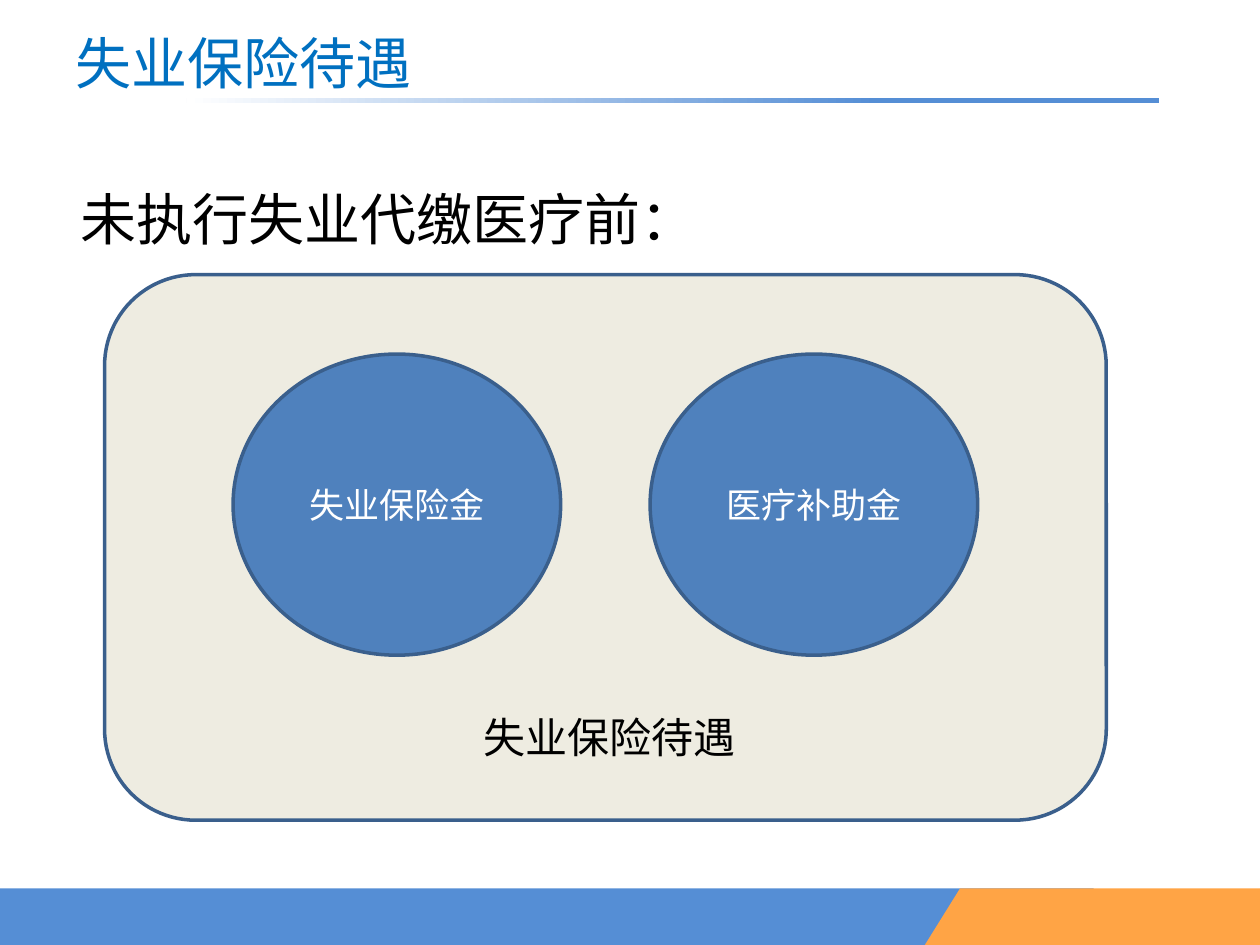
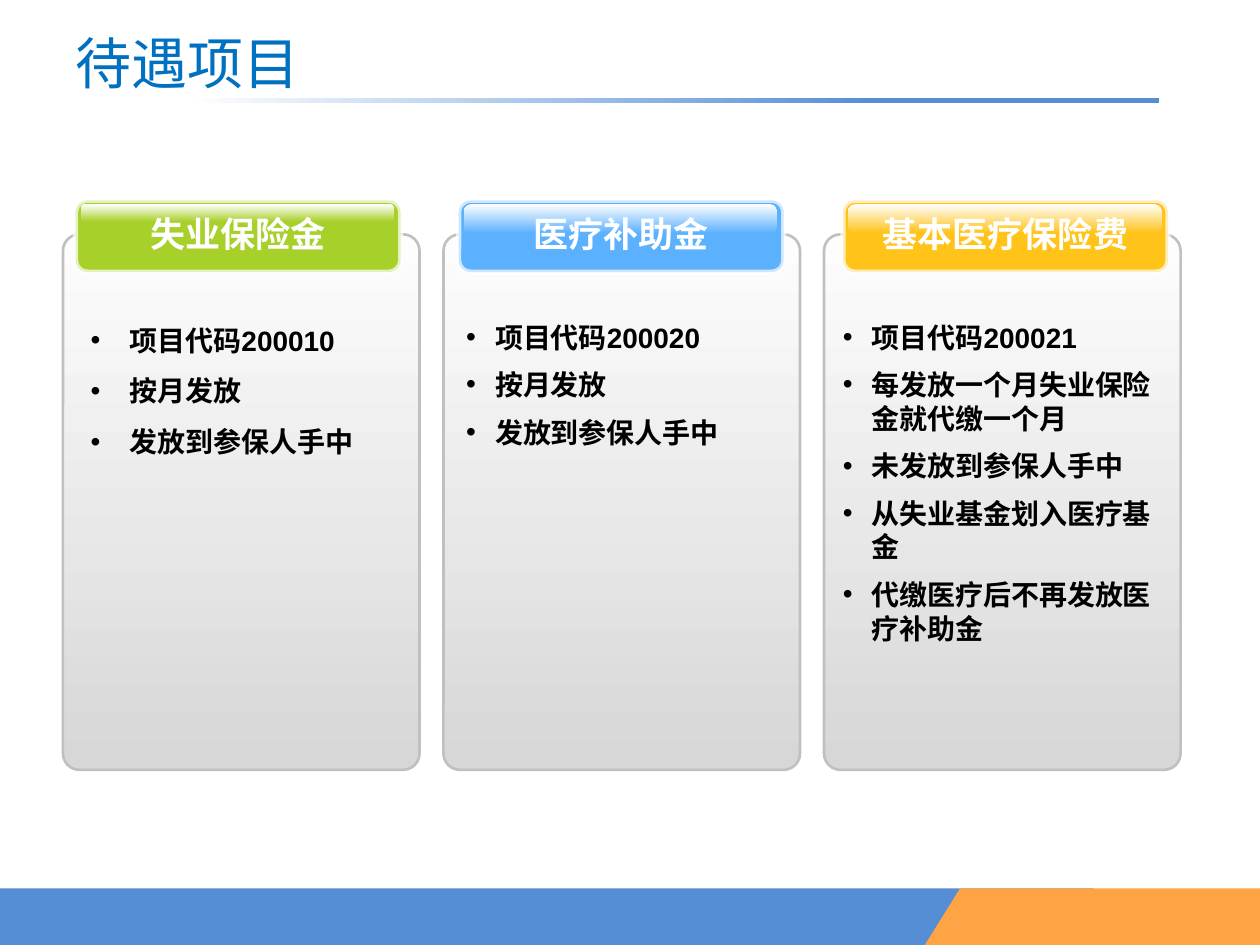
"""Build two slides about unemployment insurance benefits."""
import pptx
import pptx.dml.color
import pptx.enum.shapes
import pptx.enum.text
import pptx.oxml
import pptx.oxml.ns
import pptx.util

Inches = pptx.util.Inches
Pt = pptx.util.Pt
SHAPE = pptx.enum.shapes.MSO_SHAPE
ALIGN = pptx.enum.text.PP_ALIGN
ANCHOR = pptx.enum.text.MSO_ANCHOR

CJK_FONT = "Noto Sans CJK SC"
BAND_BLUE, BAND_ORANGE, TITLE_BLUE = "558ED5", "FFA445", "0070C0"
OUTLINE, CIRCLE_BLUE, CREAM = "3A5F8C", "4F81BD", "EEECE1"
BLACK, WHITE = "000000", "FFFFFF"
PANEL_TOP_COLOR, PANEL_BOTTOM_COLOR, PANEL_LINE = "FDFDFD", "D7D7D7", "C0C0C0"

PANEL_LEFT, PANEL_STEP = 0.5, 3.02
BENEFITS = [
    dict(name="失业保险金", color="A8D02A", tab_offset=0.1, gloss_height=0.14,
         list_box=(0.62, 2.49, 2.47, 1.25), indent=0.31, line_spacing=Pt(21),
         items=["项目代码200010", "按月发放", "发放到参保人手中"]),
    dict(name="医疗补助金", color="5CB1FE", tab_offset=0.12, gloss_height=0.23,
         list_box=(3.6, 2.49, 2.74, 1.18), indent=0.23, line_spacing=1.0,
         items=["项目代码200020", "按月发放", "发放到参保人手中"]),
    dict(name="基本医疗保险费", color="FFC319", tab_offset=0.15, gloss_height=0.23,
         list_box=(6.59, 2.49, 2.74, 3.2), indent=0.23, line_spacing=1.0,
         items=["项目代码200021", "每发放一个月失业保险金就代缴一个月", "未发放到参保人手中",
                "从失业基金划入医疗基金", "代缴医疗后不再发放医疗补助金"]),
]


def rgb(color):
    """Turn a hex string into a colour."""
    return pptx.dml.color.RGBColor.from_string(color)


def place(shape, box):
    """Move a shape to a box given in inches."""
    shape.left, shape.top, shape.width, shape.height = map(Inches, box)


def paint(shape, fill, line=None, line_width=0):
    """Give a shape a plain fill and an optional outline."""
    shape.shadow.inherit = False
    shape.fill.solid()
    shape.fill.fore_color.rgb = rgb(fill)
    if line:
        shape.line.color.rgb = rgb(line)
        shape.line.width = Pt(line_width)
    else:
        shape.line.fill.background()


def shade(shape, stops, angle):
    """Fill a shape with a two-colour linear gradient."""
    shape.fill.gradient()
    shape.fill.gradient_angle = angle
    for stop, (position, color) in zip(shape.fill.gradient_stops, stops):
        stop.position = position
        stop.color.rgb = rgb(color)


def add_block(slide, kind, box, fill, line=None, line_width=0, corner=None):
    """Add a preset shape with a plain fill."""
    block = slide.shapes.add_shape(kind, *map(Inches, box))
    paint(block, fill, line, line_width)
    if corner is not None:
        block.adjustments[0] = corner
    return block


def add_run(paragraph, text, size, color, font="Arial", bold=False):
    """Add one formatted run."""
    run = paragraph.add_run()
    run.text = text
    run.font.size = Pt(size)
    run.font.name = font
    run.font.bold = bold
    run.font.color.rgb = rgb(color)
    east_asian = pptx.oxml.parse_xml(
        f'<a:ea {pptx.oxml.ns.nsdecls("a")} typeface="{CJK_FONT}"/>')
    run.font._element.find(pptx.oxml.ns.qn("a:latin")).addnext(east_asian)


def add_label(slide, box, text, size, color, align=ALIGN.LEFT, bold=False, spacing=1.0):
    """Add a one-line text box."""
    frame = slide.shapes.add_textbox(*map(Inches, box)).text_frame
    frame.word_wrap = True
    paragraph = frame.paragraphs[0]
    paragraph.alignment = align
    paragraph.line_spacing = spacing
    add_run(paragraph, text, size, color, bold=bold)


def add_bullet(paragraph, indent):
    """Give a paragraph a hanging bullet."""
    properties = paragraph._p.get_or_add_pPr()
    properties.set("marL", str(Inches(indent)))
    properties.set("indent", str(-Inches(indent)))
    namespace = pptx.oxml.ns.nsdecls("a")
    for bullet in (f'<a:buFont {namespace} typeface="Arial"/>',
                   f'<a:buChar {namespace} char="•"/>'):
        properties.append(pptx.oxml.parse_xml(bullet))


def set_title(slide, text):
    """Fill and style the title placeholder."""
    title = slide.shapes.title
    place(title, (0.5, 0.13, 9, 0.72))
    title.text_frame.vertical_anchor = ANCHOR.MIDDLE
    paragraph = title.text_frame.paragraphs[0]
    paragraph.alignment = ALIGN.LEFT
    add_run(paragraph, text, 32, TITLE_BLUE, CJK_FONT)


def fill_list(slide, body, benefit):
    """Fill a body placeholder with bullets and bring it to the front."""
    place(body, benefit["list_box"])
    slide.shapes.element.append(body.element)
    frame = body.text_frame
    frame.auto_size = pptx.enum.text.MSO_AUTO_SIZE.NONE
    frame.vertical_anchor = ANCHOR.TOP
    for number, item in enumerate(benefit["items"]):
        paragraph = frame.add_paragraph() if number else frame.paragraphs[0]
        paragraph.line_spacing = benefit["line_spacing"]
        paragraph.space_before = Pt(8)
        add_bullet(paragraph, benefit["indent"])
        add_run(paragraph, item, 16, BLACK, bold=True)


def decorate_master(prs, slide):
    """Draw the title rule and footer bands and hand them to the master."""
    footer = add_block(slide, SHAPE.RECTANGLE, (0, 7.05, 8.68, 0.45), BAND_BLUE)
    title_rule = add_block(slide, SHAPE.RECTANGLE, (1.48, 0.78, 7.72, 0.04), BAND_BLUE)
    shade(title_rule, [(0.29, BAND_BLUE), (1, WHITE)], 180)
    outline = slide.shapes.build_freeform(Inches(7.62), Inches(7.05))
    outline.add_line_segments([(Inches(x), Inches(y)) for x, y in
                               [(10, 7.05), (10, 7.5), (7.34, 7.5)]], close=True)
    footer_accent = outline.convert_to_shape()
    paint(footer_accent, BAND_ORANGE)
    for number, part in enumerate((footer, title_rule, footer_accent), 20):
        part.element.nvSpPr.cNvPr.set("id", str(number))
        prs.slide_master.shapes.element.append(part.element)


def add_circle(slide, left, text):
    """Add a benefit circle."""
    circle = add_block(slide, SHAPE.OVAL, (left, 2.81, 2.6, 2.39), CIRCLE_BLUE, OUTLINE, 2)
    circle.text_frame.vertical_anchor = ANCHOR.MIDDLE
    paragraph = circle.text_frame.paragraphs[0]
    paragraph.alignment = ALIGN.CENTER
    add_run(paragraph, text, 20, WHITE, "Calibri")


def add_panel(slide, left, benefit):
    """Add a grey panel with its glossy heading tab."""
    panel = add_block(slide, SHAPE.ROUNDED_RECTANGLE, (left, 1.86, 2.83, 4.25),
                      PANEL_BOTTOM_COLOR, PANEL_LINE, 1.5, 0.046)
    shade(panel, [(0, PANEL_TOP_COLOR), (1, PANEL_BOTTOM_COLOR)], 270)
    color = benefit["color"]
    tab_left = left + benefit["tab_offset"]
    tab = add_block(slide, SHAPE.ROUNDED_RECTANGLE, (tab_left, 1.59, 2.58, 0.57),
                    color, WHITE, 3, 0.167)
    line_color = tab.line._ln.find(".//" + pptx.oxml.ns.qn("a:srgbClr"))
    line_color.append(pptx.oxml.parse_xml(
        f'<a:alpha {pptx.oxml.ns.nsdecls("a")} val="69000"/>'))
    gloss = add_block(slide, SHAPE.ROUNDED_RECTANGLE,
                      (tab_left + 0.04, 1.62, 2.49, benefit["gloss_height"]),
                      color, corner=0.284)
    shade(gloss, [(0, WHITE), (1, color)], 270)
    add_label(slide, (tab_left, 1.64, 2.58, 0.44), benefit["name"], 20, WHITE,
              ALIGN.CENTER, bold=True)


def build_overview(slide):
    """Show the two benefits inside the overall benefit."""
    set_title(slide, "失业保险待遇")
    add_block(slide, SHAPE.ROUNDED_RECTANGLE, (0.83, 2.18, 7.95, 4.33), CREAM, OUTLINE, 2)
    add_label(slide, (0.54, 1.15, 8.75, 0.91), "未执行失业代缴医疗前：", 32, BLACK, spacing=1.5)
    add_circle(slide, 1.85, "失业保险金")
    add_circle(slide, 5.16, "医疗补助金")
    add_label(slide, (3.74, 5.6, 2.36, 0.5), "失业保险待遇", 24, BLACK)


def build_items(slide):
    """Compare the three benefit items side by side."""
    set_title(slide, "待遇项目")
    *bodies, spare = list(slide.placeholders)[1:]
    spare.element.getparent().remove(spare.element)
    for column, (body, benefit) in enumerate(zip(bodies, BENEFITS)):
        add_panel(slide, PANEL_LEFT + column * PANEL_STEP, benefit)
        fill_list(slide, body, benefit)


def main():
    """Create and save the presentation."""
    prs = pptx.Presentation()
    prs.slide_width, prs.slide_height = Inches(10), Inches(7.5)
    overview = prs.slides.add_slide(prs.slide_layouts.get_by_name("Title Only"))
    decorate_master(prs, overview)
    build_overview(overview)
    build_items(prs.slides.add_slide(prs.slide_layouts.get_by_name("Comparison")))
    prs.save("out.pptx")


if __name__ == "__main__":
    main()
